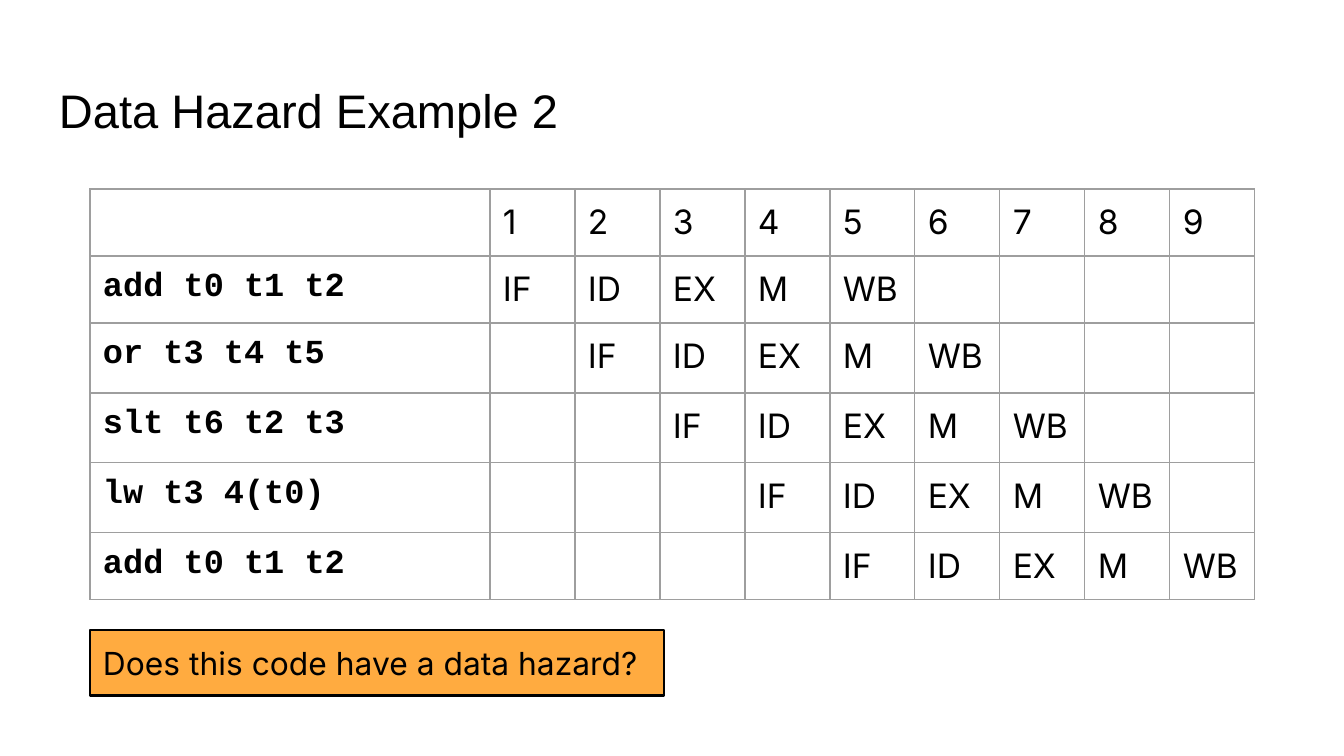
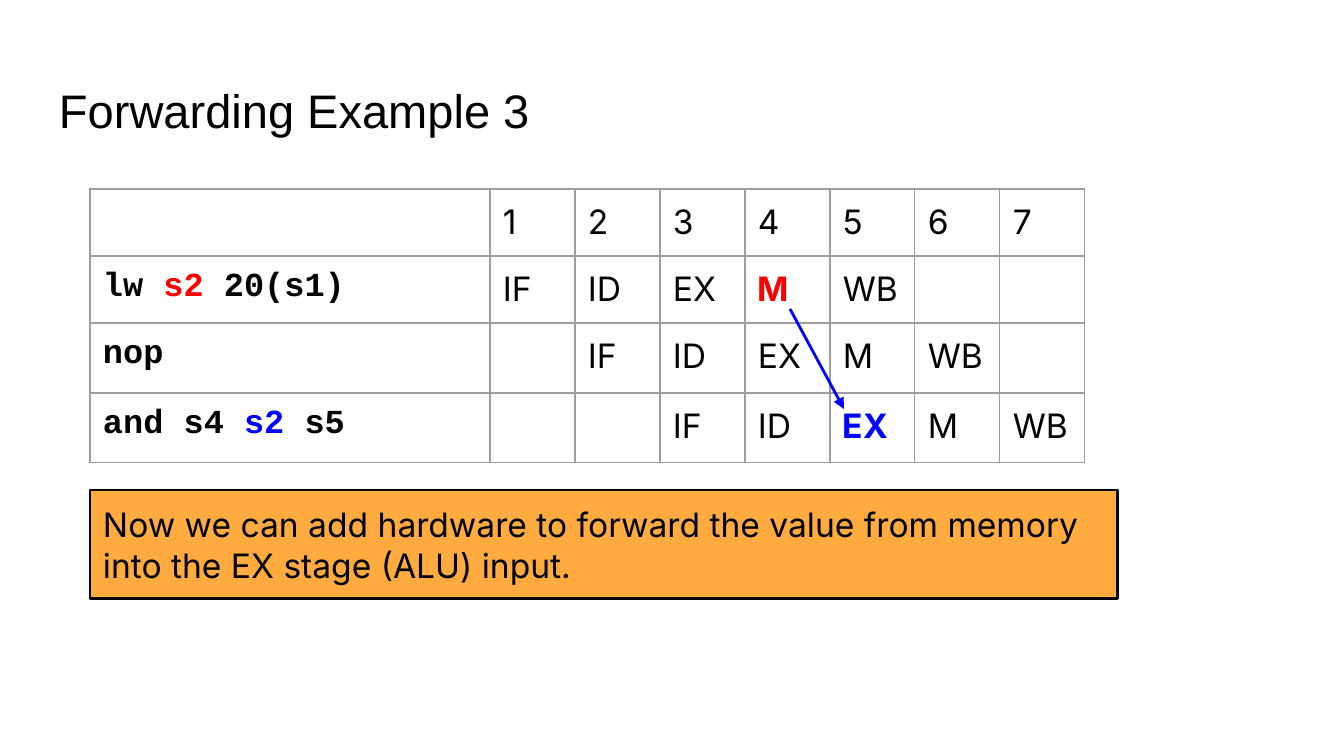
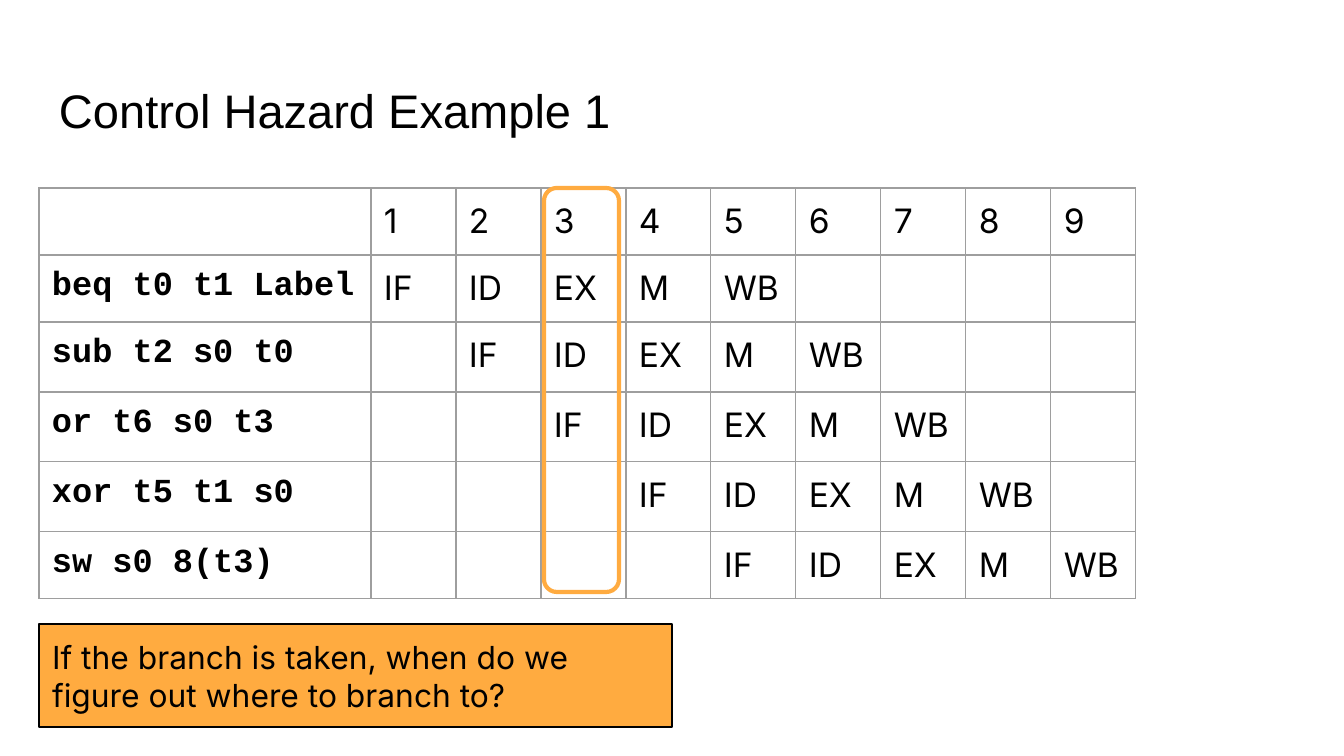
from pptx import Presentation
from pptx.dml.color import RGBColor
from pptx.enum.shapes import MSO_CONNECTOR as Connector, MSO_SHAPE as Shape
from pptx.enum.text import MSO_ANCHOR as Anchor, MSO_AUTO_SIZE as AutoSize, PP_ALIGN as Align
from pptx.oxml import parse_xml
from pptx.oxml.ns import nsdecls
from pptx.util import Emu, Pt

EMU_PER_PX = 914400 / 134.4
BLACK, RED, BLUE = "000000", "FF0000", "0000FF"
ORANGE, GRID = "FFAB40", "9E9E9E"
HEADING, BODY, CODE = "Arial", "Inter", "Courier New"
INSET = 13
STAGES = ["IF", "ID", "EX", "M", "WB"]
CYCLE_WIDTH = 85
EDGE_ROW, INNER_ROW = 67, 70
TITLE_BOX = (46, 66, 1253, 85)


def px(length):
    return Emu(round(length * EMU_PER_PX))


def place(box):
    return [px(length) for length in box]


def color(value):
    return RGBColor.from_string(value)


def add_text(para, text, font=BODY, size=18, fill=BLACK, bold=False):
    span = para.add_run()
    span.text = text
    span.font.name, span.font.size, span.font.bold = font, Pt(size), bold
    span.font.color.rgb = color(fill)


def set_insets(holder):
    holder.margin_left = holder.margin_right = px(INSET)
    holder.margin_top = holder.margin_bottom = px(INSET)


def add_page(deck, title):
    page = deck.slides.add_slide(deck.slide_layouts[5])
    heading = page.shapes.title
    heading.left, heading.top, heading.width, heading.height = place(TITLE_BOX)
    frame = heading.text_frame
    set_insets(frame)
    frame.auto_size, frame.vertical_anchor = AutoSize.NONE, Anchor.BOTTOM
    para = frame.paragraphs[0]
    para.alignment = Align.LEFT
    add_text(para, title, font=HEADING, size=25.2)
    return page


def add_callout(page, box, text, size):
    callout = page.shapes.add_shape(Shape.RECTANGLE, *place(box))
    callout.shadow.inherit = False
    callout.fill.solid()
    callout.fill.fore_color.rgb = color(ORANGE)
    callout.line.color.rgb = color(BLACK)
    callout.line.width = Pt(1.5)
    frame = callout.text_frame
    set_insets(frame)
    frame.word_wrap, frame.auto_size = True, AutoSize.SHAPE_TO_FIT_TEXT
    frame.vertical_anchor = Anchor.MIDDLE
    para = frame.paragraphs[0]
    para.alignment = Align.LEFT
    add_text(para, text, size=size)


def style_cell(cell):
    set_insets(cell)
    properties = cell._tc.get_or_add_tcPr()
    for side in "LRTB":
        properties.append(parse_xml(
            f'<a:ln{side} {nsdecls("a")} w="{Pt(0.75)}"><a:solidFill>'
            f'<a:srgbClr val="{GRID}"/></a:solidFill></a:ln{side}>'))
    cell.fill.background()


def add_pipeline(page, left, top, code_width, program, marks=None):
    """Each instruction starts one cycle after the one above it.

    program holds a list of (text, colour) parts per instruction;
    marks maps (instruction, stage) to a highlight colour.
    """
    marks = marks or {}
    cycles = len(program) + len(STAGES) - 1
    widths = [code_width] + [CYCLE_WIDTH] * cycles
    heights = [EDGE_ROW] * 2 + [INNER_ROW] * (len(program) - 1)
    if len(program) > 3:
        heights[-1] = EDGE_ROW
    table = page.shapes.add_table(
        len(heights), len(widths), *place((left, top, sum(widths), sum(heights)))).table
    table.first_row = table.horz_banding = False
    for column, width in zip(table.columns, widths):
        column.width = px(width)
    for row, height in zip(table.rows, heights):
        row.height = px(height)
    for cell in table.iter_cells():
        style_cell(cell)

    # Cycle numbers
    for cycle in range(1, cycles + 1):
        add_text(table.cell(0, cycle).text_frame.paragraphs[0], str(cycle))

    # Instructions and their stages
    for row, parts in enumerate(program, 1):
        para = table.cell(row, 0).text_frame.paragraphs[0]
        for text, fill in parts:
            add_text(para, text, font=CODE, fill=fill, bold=True)
        for offset, stage in enumerate(STAGES):
            mark = marks.get((row, stage))
            add_text(table.cell(row, row + offset).text_frame.paragraphs[0], stage,
                     fill=mark or BLACK, bold=mark is not None)


def add_forward_arrow(page, start, end):
    arrow = page.shapes.add_connector(Connector.STRAIGHT, *place(start + end))
    arrow.line.color.rgb = color(BLUE)
    arrow.line.width = Pt(1.5)
    arrow.line._get_or_add_ln().append(
        parse_xml(f'<a:tailEnd {nsdecls("a")} type="triangle"/>'))
    arrow._element.spPr.append(parse_xml(f'<a:effectLst {nsdecls("a")}/>'))


def add_cycle_ring(page, box):
    ring = page.shapes.add_shape(Shape.ROUNDED_RECTANGLE, *place(box))
    ring.shadow.inherit = False
    ring.adjustments[0] = 0.17
    ring.fill.background()
    ring.line.color.rgb = color(ORANGE)
    ring.line.width = Pt(2.25)


def plain(*lines):
    return [[(line, BLACK)] for line in lines]


def data_hazard(deck, left=90, top=189):
    page = add_page(deck, "Data Hazard Example 2")
    add_callout(page, (left, top + 441, 574, 66), "Does this code have a data hazard?", 17)
    add_pipeline(page, left, top, 400, plain(
        "add t0 t1 t2", "or t3 t4 t5", "slt t6 t2 t3", "lw t3 4(t0)", "add t0 t1 t2"))


def forwarding(deck, left=90, top=189):
    page = add_page(deck, "Forwarding Example 3")
    add_callout(page, (left, top + 301, 1028, 109),
                "Now we can add hardware to forward the value from memory "
                "into the EX stage (ALU) input.", 18)
    program = [
        [("lw ", BLACK), ("s2", RED), (" 20(s1)", BLACK)],
        [("nop", BLACK)],
        [("and s4 ", BLACK), ("s2", BLUE), (" s5", BLACK)],
    ]
    add_pipeline(page, left, top, 400, program, {(1, "M"): RED, (3, "EX"): BLUE})
    add_forward_arrow(page, (left + 700, top + 120), (left + 754, top + 220))


def control_hazard(deck, left=39, top=188):
    page = add_page(deck, "Control Hazard Example 1")
    code_width = 332
    add_callout(page, (left, top + 436, 633, 103),
                "If the branch is taken, when do we figure out where to branch to?", 17)
    add_pipeline(page, left, top, code_width, plain(
        "beq t0 t1 Label", "sub t2 s0 t0", "or t6 s0 t3", "xor t5 t1 s0", "sw s0 8(t3)"))
    third_cycle = left + code_width + 2 * CYCLE_WIDTH
    add_cycle_ring(page, (third_cycle + 3, top, 75, 404))


def main():
    deck = Presentation()
    deck.slide_width, deck.slide_height = px(1344), px(756)
    data_hazard(deck)
    forwarding(deck)
    control_hazard(deck)
    deck.save("out.pptx")


if __name__ == "__main__":
    main()
